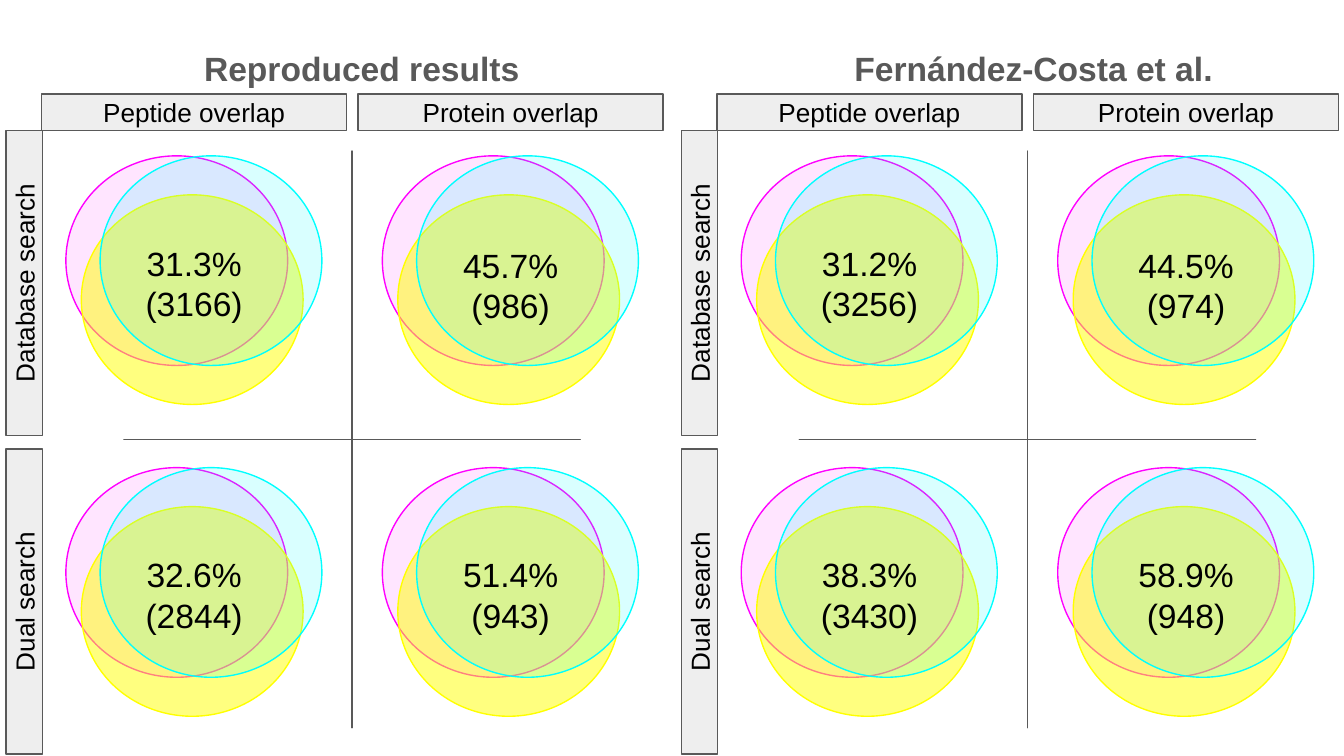
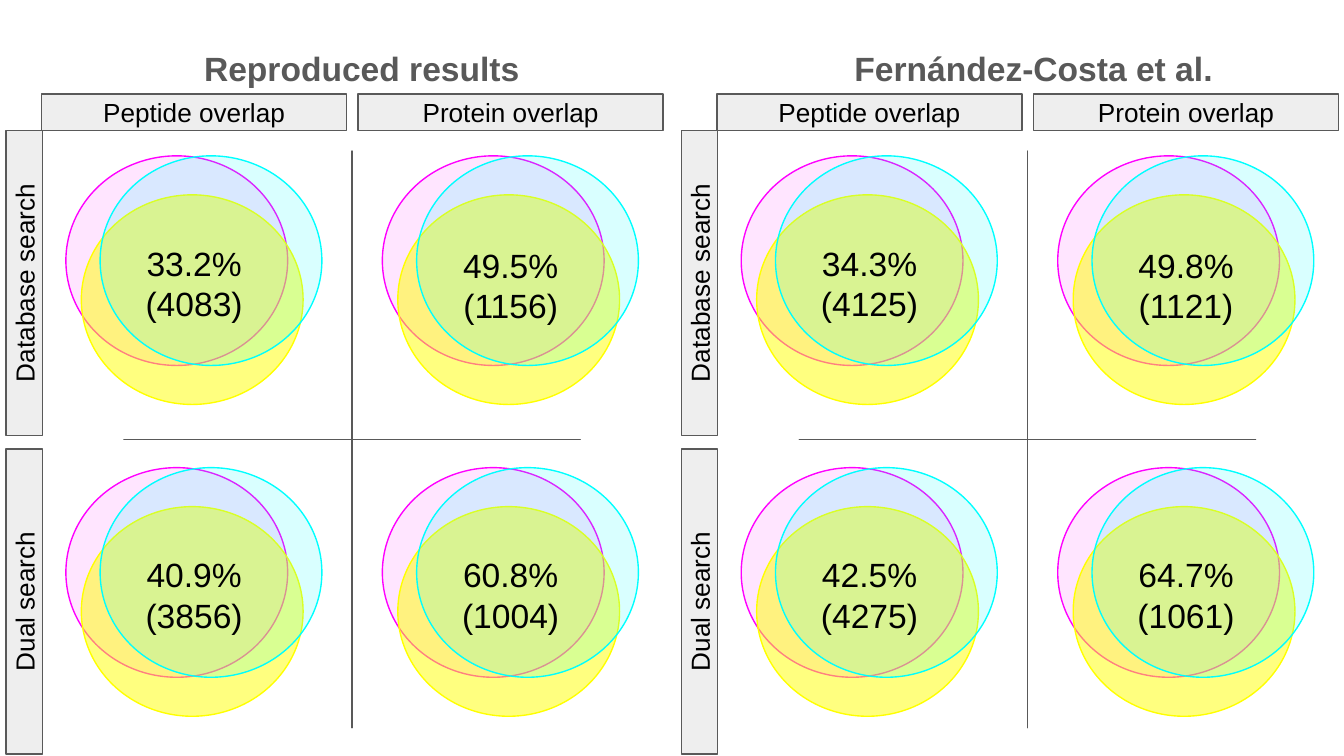
from dataclasses import dataclass

from lxml.etree import SubElement
from pptx import Presentation
from pptx.dml.color import RGBColor
from pptx.enum.shapes import MSO_SHAPE
from pptx.enum.text import MSO_ANCHOR, PP_ALIGN
from pptx.oxml.ns import qn
from pptx.shapes.autoshape import Shape
from pptx.shapes.group import GroupShape
from pptx.slide import Slide
from pptx.util import Emu, Pt

EMU_PER_PX = 4572  # 200 px to the inch
SLIDE_WIDTH, SLIDE_HEIGHT = 2000, 1125
FONT = "Arial"
COLORS = {
    "magenta": "FF00FF",
    "yellow": "FFFF00",
    "cyan": "00FFFF",
    "bar": "EEEEEE",
    "gray": "595959",
    "text": "000000",
}

# Grid steps
PANEL_STEP = 1005
COLUMN_STEP = 471
VENN_ROW_STEP = 464
BAR_ROW_STEP = 474
BAR_WIDTH, BAR_HEIGHT = 454, 54
COLUMN_LABELS = ("Peptide overlap", "Protein overlap")
ROW_LABELS = ("Database search", "Dual search")


@dataclass(frozen=True)
class Box:
    left: int
    top: int
    width: int
    height: int

    def moved(self, right: int, down: int = 0) -> "Box":
        return Box(self.left + right, self.top + down, self.width, self.height)

    def emu(self) -> tuple[Emu, ...]:
        lengths = (self.left, self.top, self.width, self.height)
        return tuple(Emu(length * EMU_PER_PX) for length in lengths)


@dataclass(frozen=True)
class Circle:
    color: str
    opacity: int
    box: Box


@dataclass(frozen=True)
class Panel:
    title: str
    title_box: Box
    overlaps: tuple[tuple[str, str], ...]  # one row per search, one value per column


CIRCLES = (
    Circle("magenta", 10, Box(98, 232, 330, 312)),
    Circle("yellow", 50, Box(121, 290, 330, 312)),
    Circle("cyan", 15, Box(149, 232, 330, 312)),
)
COLUMN_BAR = Box(62, 140, BAR_WIDTH, BAR_HEIGHT)
ROW_BAR = Box(-191, 394, BAR_WIDTH, BAR_HEIGHT)
VALUE_BOX = Box(182, 341, 214, 152)
CROSS_BOX = Box(62, 70, 924, 1168)

REPRODUCED = ("Reproduced results", Box(284, 52, 564, 70))
PUBLISHED = ("Fernández-Costa et al.", Box(1252, 52, 580, 70))
SLIDES = (
    (
        Panel(*REPRODUCED, (("31.3%\n(3166)", "45.7%\n(986)"),
                            ("32.6%\n(2844)", "51.4%\n(943)"))),
        Panel(*PUBLISHED, (("31.2%\n(3256)", "44.5%\n(974)"),
                           ("38.3%\n(3430)", "58.9%\n(948)"))),
    ),
    (
        Panel(*REPRODUCED, (("33.2%\n(4083)", "49.5%\n(1156)"),
                            ("40.9%\n(3856)", "60.8%\n(1004)"))),
        Panel(*PUBLISHED, (("34.3%\n(4125)", "49.8%\n(1121)"),
                           ("42.5%\n(4275)", "64.7%\n(1061)"))),
    ),
)


def rgb(name: str) -> RGBColor:
    return RGBColor.from_string(COLORS[name])


def add_outlined(parent: Slide | GroupShape, kind: MSO_SHAPE, box: Box,
                 fill: str, line: str) -> Shape:
    shape = parent.shapes.add_shape(kind, *box.emu())
    shape.shadow.inherit = False
    shape.fill.solid()
    shape.fill.fore_color.rgb = rgb(fill)
    shape.line.color.rgb = rgb(line)
    shape.line.width = Pt(0.75)
    return shape


def write(shape: Shape, text: str, size: int, color: str = "text",
          bold: bool = False, align: PP_ALIGN = PP_ALIGN.CENTER,
          anchor: MSO_ANCHOR = MSO_ANCHOR.TOP) -> None:
    frame = shape.text_frame
    frame.text = text
    frame.word_wrap = True
    frame.vertical_anchor = anchor
    frame.margin_left = frame.margin_right = Emu(20 * EMU_PER_PX)
    frame.margin_top = frame.margin_bottom = Emu(20 * EMU_PER_PX)
    for paragraph in frame.paragraphs:
        paragraph.alignment = align
        for run in paragraph.runs:
            run.font.name = FONT
            run.font.size = Pt(size)
            run.font.bold = bold
            run.font.color.rgb = rgb(color)


def add_venn(slide: Slide, right: int, down: int) -> None:
    group = slide.shapes.add_group_shape()
    for circle in CIRCLES:
        shape = add_outlined(group, MSO_SHAPE.OVAL, circle.box.moved(right, down),
                             circle.color, circle.color)
        color = shape.element.spPr.find(qn("a:solidFill"))[0]
        SubElement(color, qn("a:alpha")).set("val", str(circle.opacity * 1000))


def add_bar(slide: Slide, box: Box, label: str, rotation: int = 0) -> None:
    bar = add_outlined(slide, MSO_SHAPE.RECTANGLE, box, "bar", "gray")
    bar.rotation = rotation
    write(bar, label, 14, anchor=MSO_ANCHOR.MIDDLE)


def add_panel(slide: Slide, panel: Panel, offset: int) -> None:
    # Overlapping circles
    for row in range(len(ROW_LABELS)):
        for column in range(len(COLUMN_LABELS)):
            add_venn(slide, offset + column * COLUMN_STEP, row * VENN_ROW_STEP)

    # Column and row headings
    for column, label in enumerate(COLUMN_LABELS):
        add_bar(slide, COLUMN_BAR.moved(offset + column * COLUMN_STEP), label)
    for row, label in enumerate(ROW_LABELS):
        add_bar(slide, ROW_BAR.moved(offset, row * BAR_ROW_STEP), label, 270)

    # Shared percentages and counts
    for row, values in enumerate(panel.overlaps):
        for column, value in enumerate(values):
            nudge = 3 if (row, column) == (0, 1) else 0
            box = VALUE_BOX.moved(offset + column * COLUMN_STEP,
                                  row * VENN_ROW_STEP + nudge)
            write(slide.shapes.add_textbox(*box.emu()), value, 18)

    # Panel title
    title = slide.shapes.add_textbox(*panel.title_box.emu())
    write(title, panel.title, 18, "gray", bold=True, align=PP_ALIGN.LEFT)

    # Cross that separates the four diagrams
    cross = add_outlined(slide, MSO_SHAPE.MATH_PLUS, CROSS_BOX.moved(offset),
                         "bar", "gray")
    cross.adjustments[0] = 0


def main() -> None:
    presentation = Presentation()
    presentation.slide_width = Emu(SLIDE_WIDTH * EMU_PER_PX)
    presentation.slide_height = Emu(SLIDE_HEIGHT * EMU_PER_PX)
    for panels in SLIDES:
        slide = presentation.slides.add_slide(presentation.slide_layouts[6])
        for index, panel in enumerate(panels):
            add_panel(slide, panel, index * PANEL_STEP)
    presentation.save("out.pptx")


if __name__ == "__main__":
    main()
